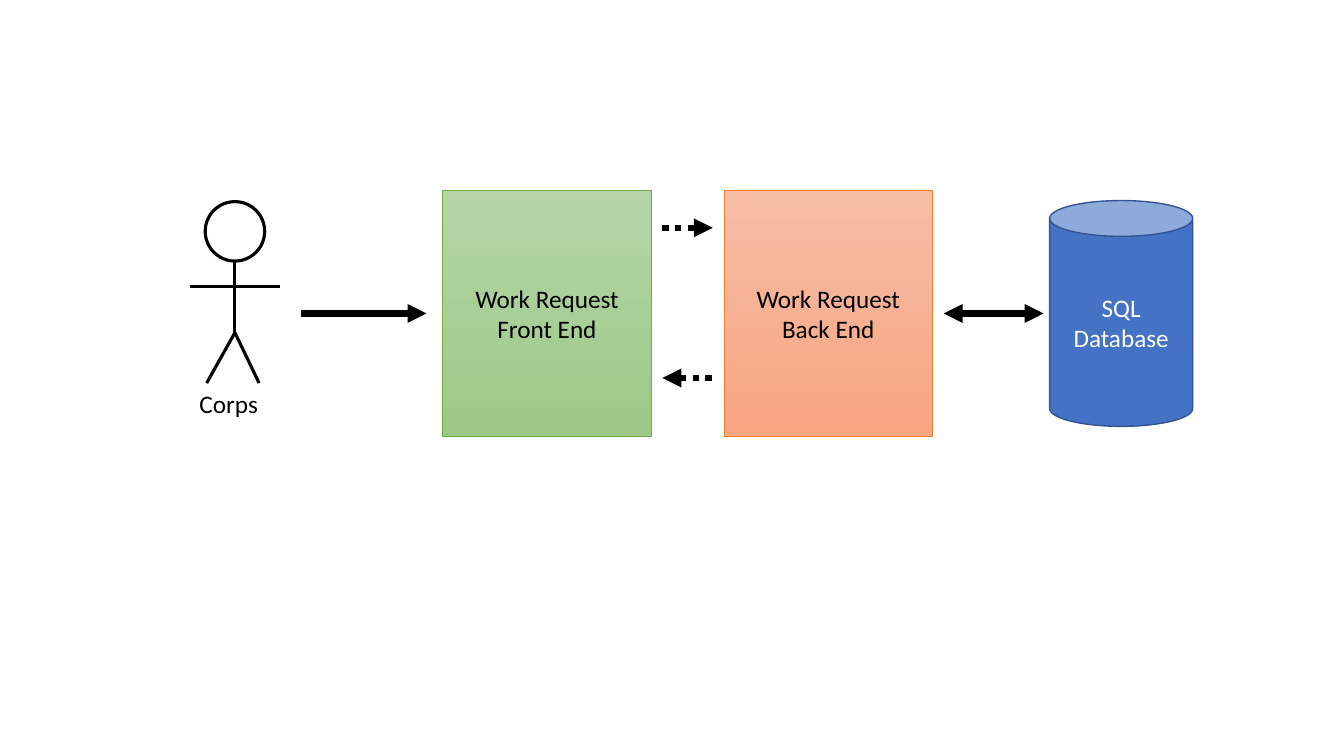
"""Draw the flow from a user through the work request system to its database."""
from pptx import Presentation
from pptx.dml.color import RGBColor
from pptx.enum.dml import MSO_LINE
from pptx.enum.shapes import MSO_CONNECTOR, MSO_SHAPE
from pptx.enum.text import MSO_ANCHOR, MSO_AUTO_SIZE, PP_ALIGN
from pptx.oxml.ns import qn
from pptx.util import Inches, Pt
from lxml import etree

RECT, CAN, OVAL = MSO_SHAPE.RECTANGLE, MSO_SHAPE.CAN, MSO_SHAPE.OVAL
LINE, DOTS = MSO_CONNECTOR.STRAIGHT, MSO_LINE.ROUND_DOT
LEFT, CENTER = PP_ALIGN.LEFT, PP_ALIGN.CENTER
MIDDLE, GROW = MSO_ANCHOR.MIDDLE, MSO_AUTO_SIZE.SHAPE_TO_FIT_TEXT

THEME = {
    "font": "Calibri", "size": 18, "ink": "000000", "pale": "FFFFFF",
    "green": (("B5D5A7", "9CC987"), "70AD47"),
    "orange": (("F7BDA5", "F8A582"), "ED7D31"),
    "blue": (("4472C4",), "325491"),
    "arrow": 4.5, "body": 2.25,
}
WIDE, HIGH = 13.33, 7.5
MID = 3.11
GAP = 0.11
BOX_W, BOX_H = 2.07, 2.44
FRONT, BACK = 4.39, 7.18
CAN_X, CAN_W, CAN_H = 10.41, 1.42, 2.24
LANES = 2.26, 3.75
MAN_X, MAN_TOP, HEAD = 2.33, 2, 0.59
NECK, HIP, FOOT = MAN_TOP + HEAD, 3.3, 3.8
ARM_Y, ARM = 2.84, 0.45

NODES = [
    ("Work Request Front End", RECT, FRONT, BOX_W, BOX_H, "green", 0.5, "ink"),
    ("Work Request Back End", RECT, BACK, BOX_W, BOX_H, "orange", 0.5, "ink"),
    ("SQL Database", CAN, CAN_X, CAN_W, CAN_H, "blue", 1, "pale"),
]
INNER = FRONT + BOX_W + GAP, BACK - GAP
ARROWS = [
    (2.99, 4.23, MID, ("tailEnd",), None),
    (*INNER, LANES[0], ("tailEnd",), DOTS),
    (*INNER, LANES[1], ("headEnd",), DOTS),
    (BACK + BOX_W + GAP, 10.35, MID, ("headEnd", "tailEnd"), None),
]
LIMBS = [
    (MAN_X, NECK, MAN_X, HIP),
    (MAN_X - ARM, ARM_Y, MAN_X + ARM, ARM_Y),
    (MAN_X - 0.28, FOOT, MAN_X, HIP),
    (MAN_X + 0.24, FOOT, MAN_X, HIP),
]


def tint(name):
    return RGBColor.from_string(THEME.get(name, name))


def label(shape, text, ink, align):
    frame = shape.text_frame
    frame.word_wrap = True
    frame.text = text
    para = frame.paragraphs[0]
    para.alignment = align
    para.font.name, para.font.size = THEME["font"], Pt(THEME["size"])
    para.font.color.rgb = tint(ink)
    return frame


def edge(shape, color, width):
    shape.line.color.rgb = tint(color)
    shape.line.width = Pt(width)


def node(shapes, text, kind, x, w, h, hue, width, ink):
    shape = shapes.add_shape(kind, *map(Inches, (x, MID - h / 2, w, h)))
    shape.shadow.inherit = False
    fills, rim = THEME[hue]
    if len(fills) > 1:
        shape.fill.gradient()
        shape.fill.gradient_angle = 270
        for stop, color in zip(shape.fill.gradient_stops, fills):
            stop.color.rgb = tint(color)
    else:
        shape.fill.solid()
        shape.fill.fore_color.rgb = tint(fills[0])
    edge(shape, rim, width)
    label(shape, text, ink, CENTER).vertical_anchor = MIDDLE


def stroke(shapes, ends, width, tips=(), dash=None):
    line = shapes.add_connector(LINE, *map(Inches, ends))
    edge(line, "ink", width)
    if dash:
        line.line.dash_style = dash
    props = line.element.spPr
    for tip in tips:
        etree.SubElement(props.find(qn("a:ln")), qn("a:" + tip), type="triangle")
    etree.SubElement(props, qn("a:effectLst"))


def person(shapes):
    parts = shapes.add_group_shape().shapes
    head = parts.add_shape(
        OVAL, *map(Inches, (MAN_X - HEAD / 2, MAN_TOP, HEAD, HEAD)))
    head.shadow.inherit = False
    head.fill.background()
    edge(head, "ink", THEME["body"])
    for ends in LIMBS:
        stroke(parts, ends, THEME["body"])


deck = Presentation()
deck.slide_width, deck.slide_height = Inches(WIDE), Inches(HIGH)
shapes = deck.slides.add_slide(deck.slide_layouts[6]).shapes
for item in NODES:
    node(shapes, *item)
for start, end, y, tips, dash in ARROWS:
    stroke(shapes, (start, y, end, y), THEME["arrow"], tips, dash)
name = shapes.add_textbox(*map(Inches, (MAN_X - ARM, FOOT, 1.24, 0.4)))
label(name, "Corps", "ink", LEFT).auto_size = GROW
person(shapes)
deck.save("out.pptx")
